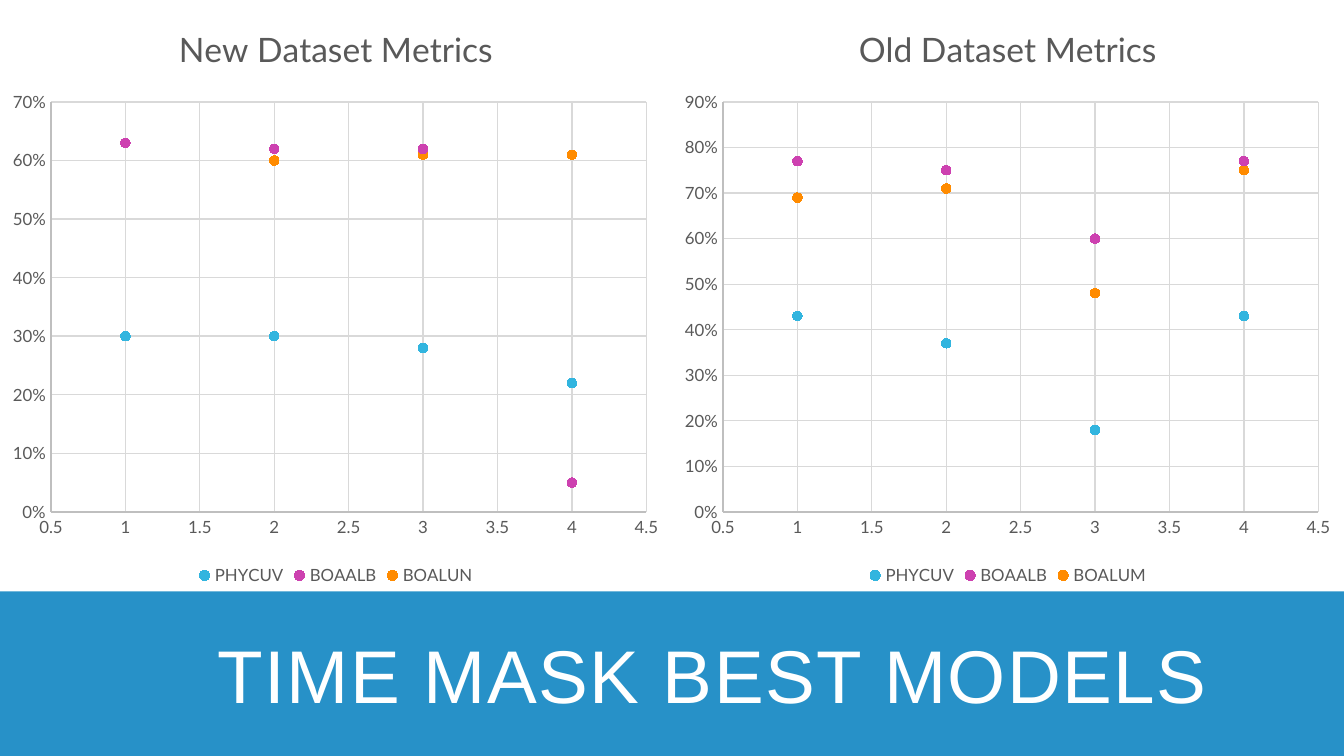
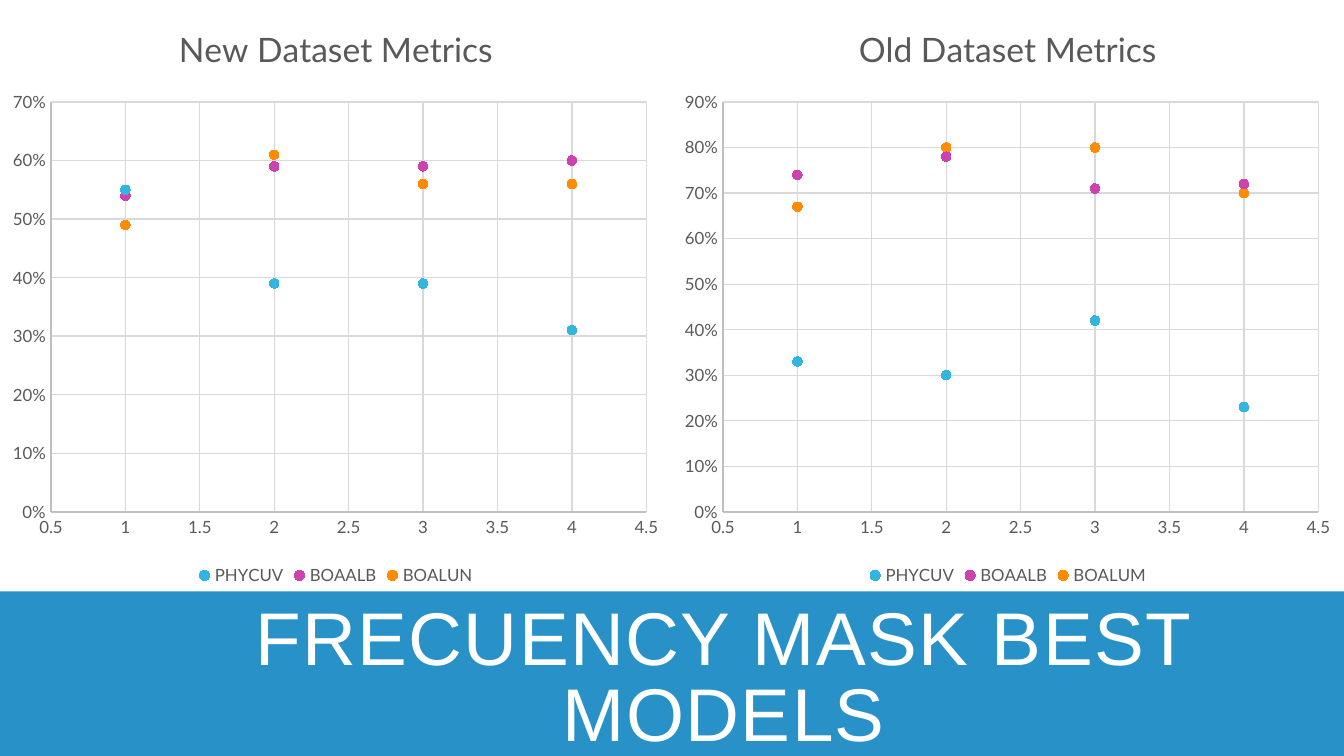
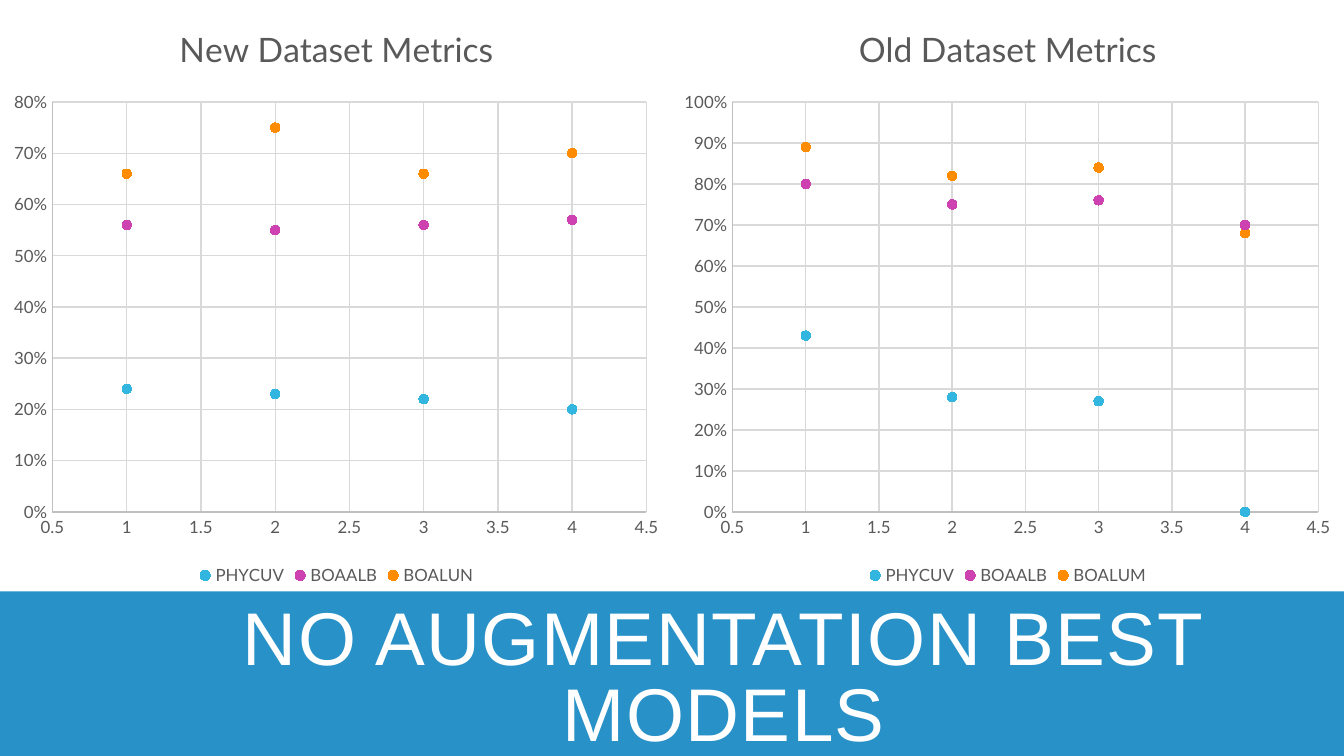
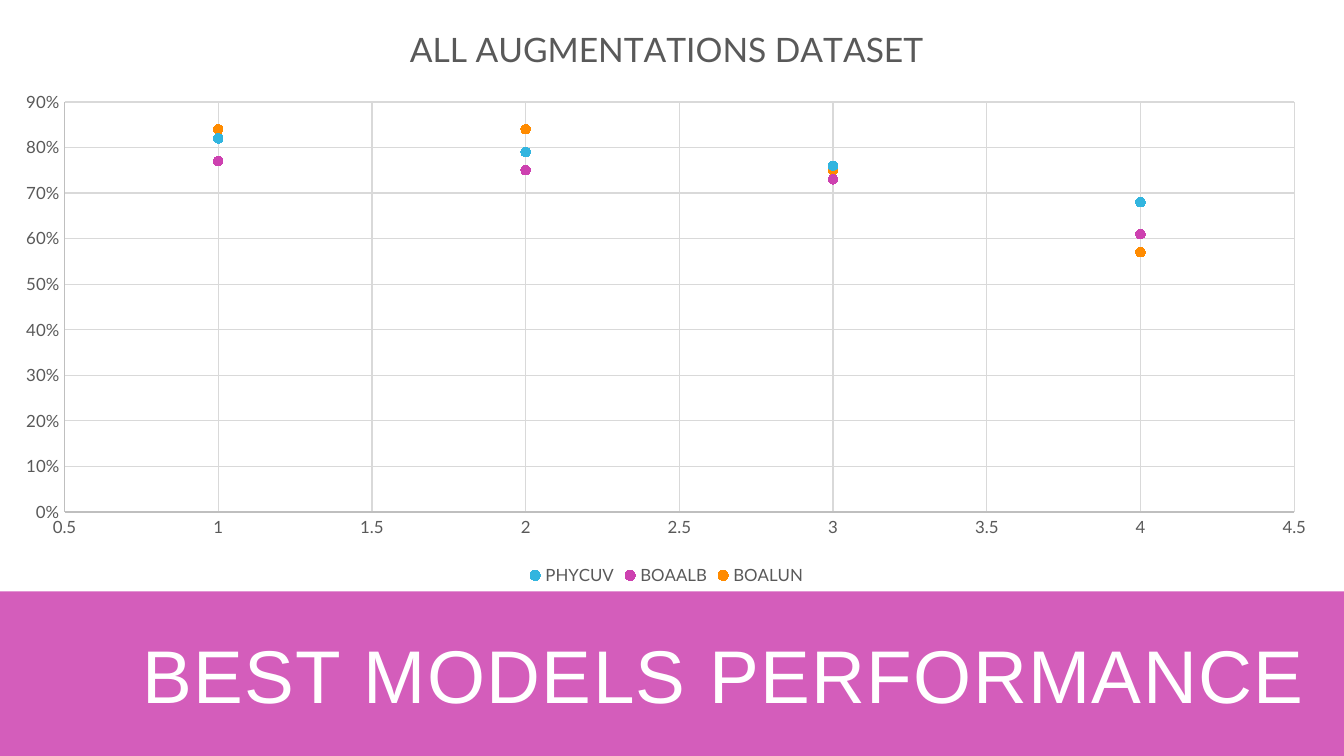
from lxml.etree import SubElement
from pptx import Presentation
from pptx.chart.data import XyChartData
from pptx.dml.color import RGBColor
from pptx.enum.chart import (
    XL_CHART_TYPE as ChartType,
    XL_LEGEND_POSITION as LegendPos,
    XL_MARKER_STYLE as Marker,
    XL_TICK_MARK as Tick,
)
from pptx.enum.shapes import MSO_SHAPE as Shape
from pptx.enum.text import MSO_ANCHOR as Anchor, PP_ALIGN as Align
from pptx.oxml.ns import qn
from pptx.oxml.xmlchemy import OxmlElement
from pptx.util import Inches, Pt

# Colours
WHITE = RGBColor(0xFF, 0xFF, 0xFF)
BLACK = RGBColor(0x00, 0x00, 0x00)
BLUE = RGBColor(0x02, 0x7E, 0xBF)
CYAN = RGBColor(0x32, 0xB5, 0xDF)
PINK = RGBColor(0xCD, 0x41, 0xB0)
ORANGE = RGBColor(0xFF, 0x8B, 0x00)
TEXT_GREY = RGBColor(0x59, 0x59, 0x59)
AXIS_GREY = RGBColor(0xBF, 0xBF, 0xBF)
GRID_GREY = RGBColor(0xD9, 0xD9, 0xD9)

# Shared measures, in inches (a 16:9 slide)
WIDTH = 10
HEIGHT = WIDTH * 9 / 16
CHART_H = 4.4
PLOT_TOP, PLOT_H = 0.76, 3.05
TITLE_TOP = 0.14

NEW_NAMES = ("PHYCUV", "BOAALB", "BOALUN")
OLD_NAMES = ("PHYCUV", "BOAALB", "BOALUM")


def set_layout(parent, index, **places):
    """Place a chart part by fractions of the chart's size."""
    for old in parent.findall(qn("c:layout")):
        parent.remove(old)
    layout = OxmlElement("c:layout")
    parent.insert(index, layout)
    manual = SubElement(layout, qn("c:manualLayout"))
    if "w" in places:
        SubElement(manual, qn("c:layoutTarget")).set("val", "inner")
    for side in ("x", "y"):
        SubElement(manual, qn(f"c:{side}Mode")).set("val", "edge")
    for key, value in places.items():
        SubElement(manual, qn(f"c:{key}")).set("val", f"{value:.4f}")


class Deck:
    def __init__(self):
        self.prs = Presentation()
        self.prs.slide_width = Inches(WIDTH)
        self.prs.slide_height = Inches(HEIGHT)
        self.s = None

    def slide(self, title, color=BLUE):
        self.s = self.prs.slides.add_slide(self.prs.slide_layouts[6])
        self.title_band(title, color)

    def title_band(self, text, color):
        sp = self.s.shapes.add_shape(
            Shape.RECTANGLE, 0, Inches(CHART_H), Inches(WIDTH), Inches(HEIGHT - CHART_H))
        sp.shadow.inherit = False
        sp.line.fill.background()
        sp.fill.solid()
        sp.fill.fore_color.rgb = color
        rgb = sp._element.spPr.find(".//" + qn("a:srgbClr"))
        SubElement(rgb, qn("a:alpha")).set("val", "85000")

        tf = sp.text_frame
        tf.word_wrap = True
        tf.vertical_anchor = Anchor.MIDDLE
        tf.margin_left, tf.margin_top = Inches(0.87), Inches(0.15)
        tf.margin_right, tf.margin_bottom = Inches(0.1), Inches(0.05)
        tf.text = text
        p = tf.paragraphs[0]
        p.alignment = Align.CENTER
        p.line_spacing = 0.85
        r = p.runs[0]
        self.font(r.font, 40, WHITE, "Arial")
        r._r.get_or_add_rPr().set("spc", "80")

    def font(self, font, size, color=TEXT_GREY, name="Lato"):
        font.size, font.name, font.bold = Pt(size), name, False
        font.color.rgb = color

    def axis(self, axis, low, high, step, number_format):
        axis.minimum_scale, axis.maximum_scale = low, high
        axis.major_unit = step
        axis.major_tick_mark = axis.minor_tick_mark = Tick.NONE
        axis.has_major_gridlines = True
        for part, color in ((axis, AXIS_GREY), (axis.major_gridlines, GRID_GREY)):
            part.format.line.color.rgb = color
            part.format.line.width = Pt(0.75)
        labels = axis.tick_labels
        labels.number_format = number_format
        labels.number_format_is_linked = False
        self.font(labels.font, 9)

    def scatter(self, title, title_w, names, rows, top,
                left=0, width=5, pad_left=0.38, pad_right=0.19):
        data = XyChartData()
        for name, row in zip(names, rows):
            series = data.add_series(name)
            for x, y in enumerate(row, 1):
                series.add_data_point(x, y)
        chart = self.s.shapes.add_chart(
            ChartType.XY_SCATTER, Inches(left), 0, Inches(width), Inches(CHART_H), data).chart
        self.font(chart.font, 10, BLACK)

        # Title
        chart.has_title = True
        tf = chart.chart_title.text_frame
        tf.text = title
        self.font(tf.paragraphs[0].runs[0].font, 18)
        set_layout(chart.chart_title._element, 1,
                   x=(width - title_w) / 2 / width, y=TITLE_TOP / CHART_H)

        # Axes and plot area
        self.axis(chart.category_axis, 0.5, 4.5, 0.5, "General")
        self.axis(chart.value_axis, 0, top, 0.1, "0%")
        set_layout(chart._chartSpace.chart.plotArea, 0,
                   x=pad_left / width, y=PLOT_TOP / CHART_H,
                   w=(width - pad_left - pad_right) / width, h=PLOT_H / CHART_H)

        # Legend
        chart.has_legend = True
        chart.legend.position = LegendPos.BOTTOM
        chart.legend.include_in_layout = False
        self.font(chart.legend.font, 9)

        # Markers
        plot = chart.plots[0]
        plot.vary_by_categories = False
        for series, color in zip(plot.series, (CYAN, PINK, ORANGE)):
            series.smooth = False
            series.format.line.fill.background()
            marker = series.marker
            marker.style, marker.size = Marker.CIRCLE, 5
            marker.format.fill.solid()
            marker.format.fill.fore_color.rgb = color
            marker.format.line.color.rgb = color

    def comparison(self, title, old, old_top, new, new_top, old_pad=0.38, new_left=0):
        self.slide(title)
        self.scatter("Old Dataset Metrics", 2.31, OLD_NAMES, old, old_top,
                     left=5, pad_left=old_pad)
        self.scatter("New Dataset Metrics", 2.43, NEW_NAMES, new, new_top,
                     left=new_left, width=5 - new_left)


def main():
    deck = Deck()

    # Old and new dataset side by side
    deck.comparison(
        "TIME MASK BEST MODELS ",
        old=[(0.43, 0.37, 0.18, 0.43), (0.77, 0.75, 0.6, 0.77), (0.69, 0.71, 0.48, 0.75)],
        old_top=0.9,
        new=[(0.3, 0.3, 0.28, 0.22), (0.63, 0.62, 0.62, 0.05), (0.63, 0.6, 0.61, 0.61)],
        new_top=0.7)
    deck.comparison(
        "FRECUENCY MASK BEST MODELS",
        old=[(0.33, 0.3, 0.42, 0.23), (0.74, 0.78, 0.71, 0.72), (0.67, 0.8, 0.8, 0.7)],
        old_top=0.9,
        new=[(0.55, 0.39, 0.39, 0.31), (0.54, 0.59, 0.59, 0.6), (0.49, 0.61, 0.56, 0.56)],
        new_top=0.7)
    deck.comparison(
        "NO AUGMENTATION BEST MODELS",
        old=[(0.43, 0.28, 0.27, 0), (0.8, 0.75, 0.76, 0.7), (0.89, 0.82, 0.84, 0.68)],
        old_top=1,
        new=[(0.24, 0.23, 0.22, 0.2), (0.56, 0.55, 0.56, 0.57), (0.66, 0.75, 0.66, 0.7)],
        new_top=0.8, old_pad=0.45, new_left=0.01)

    # All augmentations together
    deck.slide("BEST MODELS PERFORMANCE", PINK)
    deck.scatter(
        "ALL AUGMENTATIONS DATASET", 3.91, NEW_NAMES,
        [(0.82, 0.79, 0.76, 0.68), (0.77, 0.75, 0.73, 0.61), (0.84, 0.84, 0.75, 0.57)],
        0.9, width=9.92, pad_left=0.48, pad_right=0.29)

    deck.prs.save("out.pptx")


if __name__ == "__main__":
    main()
